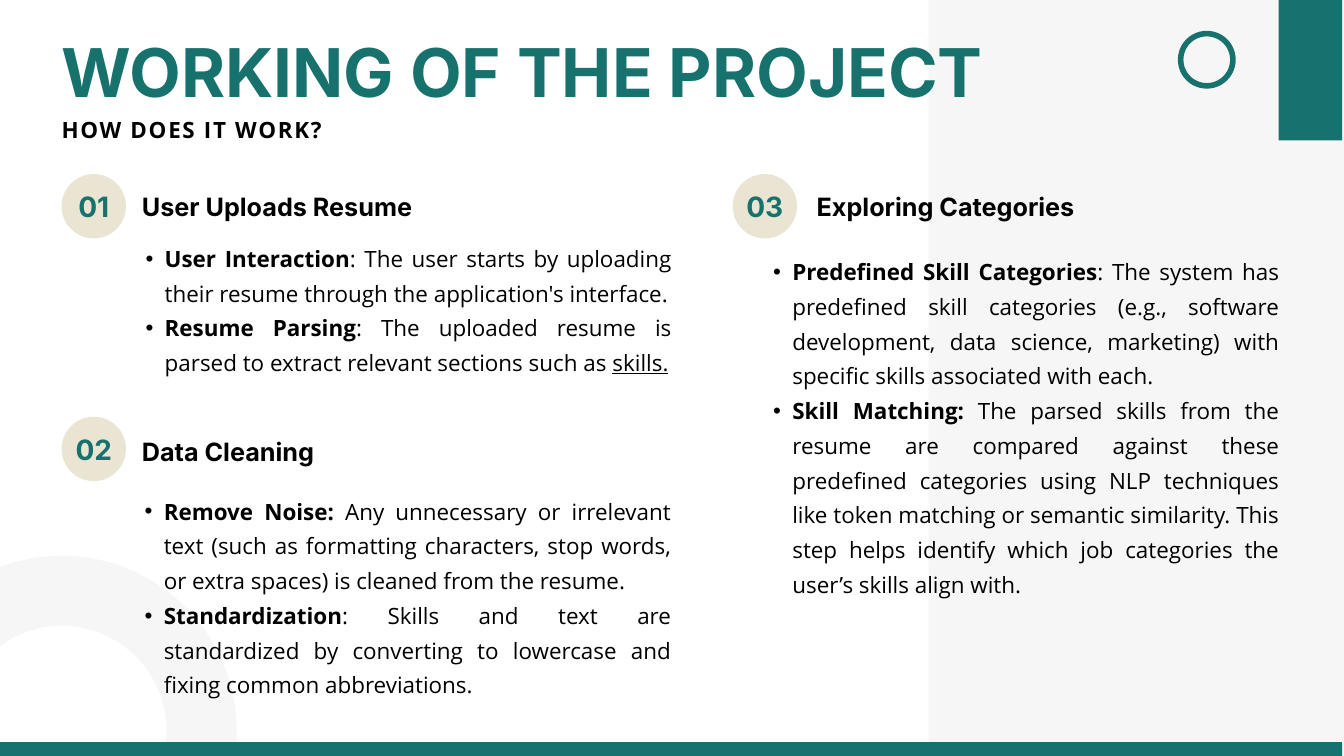
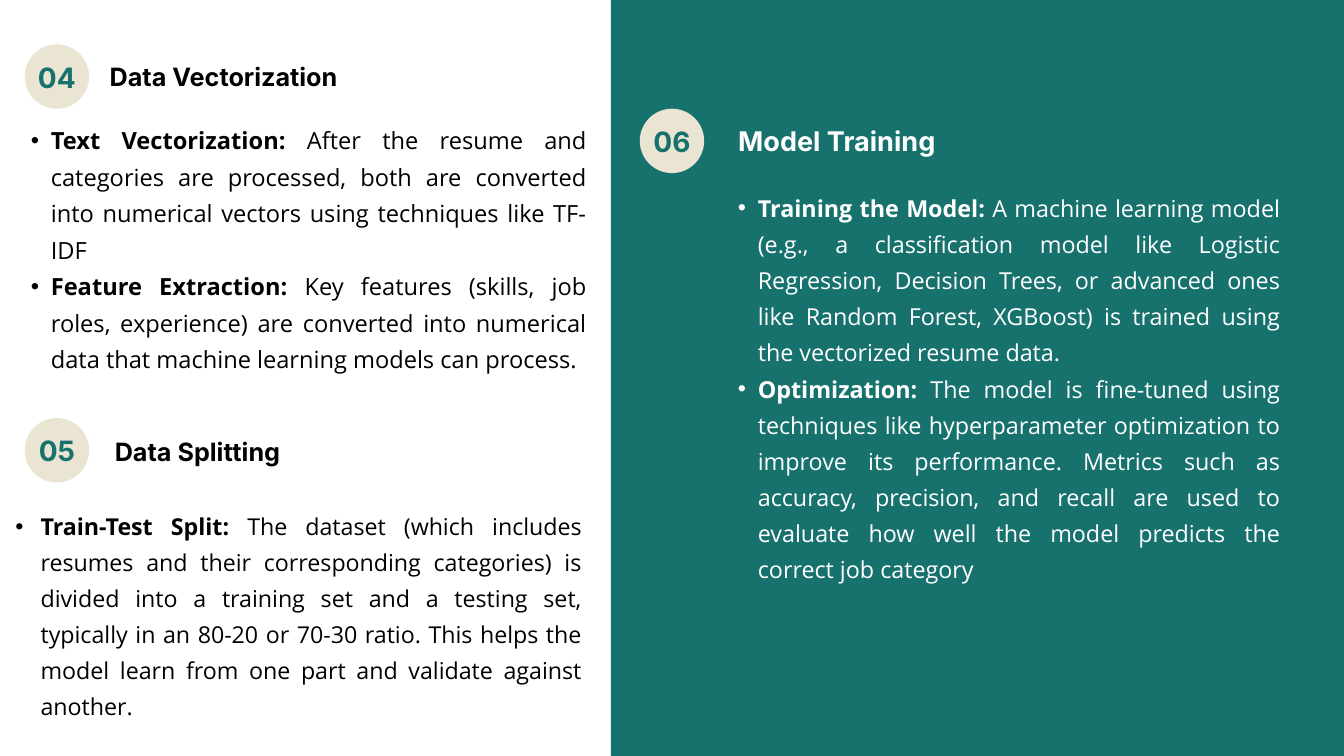
from pptx import Presentation
from pptx.dml.color import RGBColor
from pptx.enum import shapes, text
from pptx.oxml.ns import qn
from pptx.util import Pt
from lxml import etree

WHITE, BLACK = "FFFFFF", "000000"
TEAL, SAND, MIST = "17726D", "EAE4D2", "F6F6F6"
HEADING_FONT, BODY_FONT = "Inter", "Open Sans"
SLIDE_WIDTH, SLIDE_HEIGHT = 1440, 810
BADGE_SIZE = 69


def color(hex_string):
    return RGBColor.from_string(hex_string)


class Deck:
    def __init__(self):
        self.prs = Presentation()
        self.prs.slide_width = Pt(SLIDE_WIDTH)
        self.prs.slide_height = Pt(SLIDE_HEIGHT)
        self.slide = None

    def new_slide(self):
        self.slide = self.prs.slides.add_slide(self.prs.slide_layouts[6])
        background = self.slide.background.fill
        background.solid()
        background.fore_color.rgb = color(WHITE)

    def shape(self, kind, left, top, width, height, fill=None, line=None, weight=0):
        shape = self.slide.shapes.add_shape(
            kind, Pt(left), Pt(top), Pt(width), Pt(height))
        shape.shadow.inherit = False
        if fill:
            shape.fill.solid()
            shape.fill.fore_color.rgb = color(fill)
        else:
            shape.fill.background()
        if line:
            shape.line.color.rgb = color(line)
            shape.line.width = Pt(weight)
        else:
            shape.line.fill.background()
        return shape

    def band(self, left, top, width, height, fill):
        self.shape(shapes.MSO_SHAPE.RECTANGLE, left, top, width, height, fill)

    def ring(self, left, top, size, line, weight):
        self.shape(shapes.MSO_SHAPE.OVAL, left, top, size, size, None, line, weight)

    def style(self, run, font, size, ink, bold):
        run.font.name = font
        run.font.size = Pt(size)
        run.font.color.rgb = color(ink)
        run.font.bold = bold

    def text_frame(self, left, top, width, height):
        frame = self.slide.shapes.add_textbox(
            Pt(left), Pt(top), Pt(width), Pt(height)).text_frame
        frame.margin_left = frame.margin_right = 0
        frame.margin_top = frame.margin_bottom = 0
        frame.word_wrap = True
        frame.auto_size = text.MSO_AUTO_SIZE.SHAPE_TO_FIT_TEXT
        return frame

    def heading(self, wording, left, top, width, size=27, ink=BLACK,
                font=HEADING_FONT, leading=1.4, tracking=0):
        """Add one bold line; leading is a multiple of the size, tracking is in points."""
        paragraph = self.text_frame(left, top, width, size * leading).paragraphs[0]
        paragraph.text = wording
        paragraph.line_spacing = Pt(size * leading)
        run = paragraph.runs[0]
        self.style(run, font, size, ink, True)
        if tracking:
            run._r.get_or_add_rPr().set("spc", str(round(tracking * 100)))

    def badge(self, number, left, top):
        circle = self.shape(shapes.MSO_SHAPE.OVAL, left, top,
                            BADGE_SIZE, BADGE_SIZE, SAND)
        frame = circle.text_frame
        frame.margin_left = frame.margin_right = frame.margin_top = 0
        frame.margin_bottom = Pt(5)
        frame.vertical_anchor = text.MSO_ANCHOR.MIDDLE
        frame.word_wrap = False
        paragraph = frame.paragraphs[0]
        paragraph.text = number
        paragraph.alignment = text.PP_ALIGN.CENTER
        paragraph.line_spacing = Pt(42)
        self.style(paragraph.runs[0], HEADING_FONT, 30, TEAL, True)

    def bullets(self, points, box, size=24, ink=BLACK, indent=41, hang=20.5):
        """Add justified bullets; each point is a bold lead, its text and an optional underlined end."""
        frame = self.text_frame(*box)
        for index, (lead, detail, *underlined) in enumerate(points):
            paragraph = frame.add_paragraph() if index else frame.paragraphs[0]
            paragraph.alignment = text.PP_ALIGN.JUSTIFY
            paragraph.line_spacing = Pt(size * 1.55)
            properties = paragraph._p.get_or_add_pPr()
            properties.set("marL", str(Pt(indent)))
            properties.set("indent", str(-Pt(hang)))
            etree.SubElement(properties, qn("a:buFont")).set("typeface", "Arial")
            etree.SubElement(properties, qn("a:buChar")).set("char", "•")
            for position, wording in enumerate([lead, detail, *underlined]):
                run = paragraph.add_run()
                run.text = wording
                self.style(run, BODY_FONT, size, ink, position == 0)
                if position == 2:
                    run.font.underline = True

    def step(self, number, title, badge_at, title_at, points, box,
             title_size=27, title_width=384, ink=BLACK, **bullet_style):
        """Add a numbered badge, its heading and its bullets."""
        self.badge(number, *badge_at)
        self.heading(title, *title_at, title_width, title_size, ink)
        self.bullets(points, box, ink=ink, **bullet_style)


def add_working_slide(deck):
    deck.new_slide()
    deck.band(995, 0, 445, SLIDE_HEIGHT, MIST)
    deck.band(1370, 0, 68, 150.5, TEAL)
    deck.ring(-83.5, 633, 299.5, MIST, 75)
    deck.band(0, 795, 1438, 15, TEAL)
    deck.ring(1265, 36, 56, TEAL, 6)
    deck.heading("WORKING OF THE PROJECT", 66, 43, 1039, 72, TEAL, leading=1.05)
    deck.heading("HOW DOES IT WORK?", 66, 119.5, 537, 24,
                 font=BODY_FONT, tracking=1.8)
    deck.step("01", "User Uploads Resume", (66, 186.5), (152, 200), [
        ("User Interaction", ": The user starts by uploading their resume through "
         "the application's interface."),
        ("Resume Parsing", ": The uploaded resume is parsed to extract relevant "
         "sections such as ", "skills."),
    ], (135.5, 254, 584, 181.5))
    deck.step("02", "Data Cleaning", (66, 446.5), (152, 462), [
        ("Remove Noise:", " Any unnecessary or irrelevant text (such as formatting "
         "characters, stop words, or extra spaces) is cleaned from the resume."),
        ("Standardization", ": Skills and text are standardized by converting to "
         "lowercase and fixing common abbreviations."),
    ], (134.5, 525, 584.5, 255))
    deck.step("03", "Exploring Categories", (785, 186.5), (875, 200), [
        ("Predefined Skill Categories", ": The system has predefined skill "
         "categories (e.g., software development, data science, marketing) with "
         "specific skills associated with each."),
        ("Skill Matching:", " The parsed skills from the resume are compared "
         "against these predefined categories using NLP techniques like token "
         "matching or semantic similarity. This step helps identify which job "
         "categories the user’s skills align with."),
    ], (808, 268.5, 562.5, 402), title_width=529)


def add_model_slide(deck):
    deck.new_slide()
    deck.band(654.5, 0, 832, SLIDE_HEIGHT, TEAL)
    deck.step("04", "Data Vectorization", (26.5, 47.5), (117.5, 60), [
        ("Text Vectorization:", " After the resume and categories are processed, "
         "both are converted into numerical vectors using techniques like TF-IDF"),
        ("Feature Extraction:", " Key features (skills, job roles, experience) are "
         "converted into numerical data that machine learning models can process."),
    ], (11.5, 126, 617, 308), size=25.3, indent=43, hang=21.5)
    deck.step("05", "Data Splitting", (26.5, 448), (123, 462), [
        ("Train-Test Split:", " The dataset (which includes resumes and their "
         "corresponding categories) is divided into a training set and a testing "
         "set, typically in an 80-20 or 70-30 ratio. This helps the model learn "
         "from one part and validate against another."),
    ], (16.5, 540, 607, 233), size=24.9, indent=27, hang=27)
    deck.step("06", "Model Training", (685.5, 116.5), (791, 127.5), [
        ("Training the Model:", " A machine learning model (e.g., a classification "
         "model like Logistic Regression, Decision Trees, or advanced ones like "
         "Random Forest, XGBoost) is trained using the vectorized resume data."),
        ("Optimization:", " The model is fine-tuned using techniques like "
         "hyperparameter optimization to improve its performance. Metrics such as "
         "accuracy, precision, and recall are used to evaluate how well the model "
         "predicts the correct job category"),
    ], (769.5, 199, 602, 457), title_size=29, title_width=595, ink=WHITE,
        size=25, indent=42.5, hang=21.5)


def main():
    deck = Deck()
    add_working_slide(deck)
    add_model_slide(deck)
    deck.prs.save("out.pptx")


if __name__ == "__main__":
    main()
